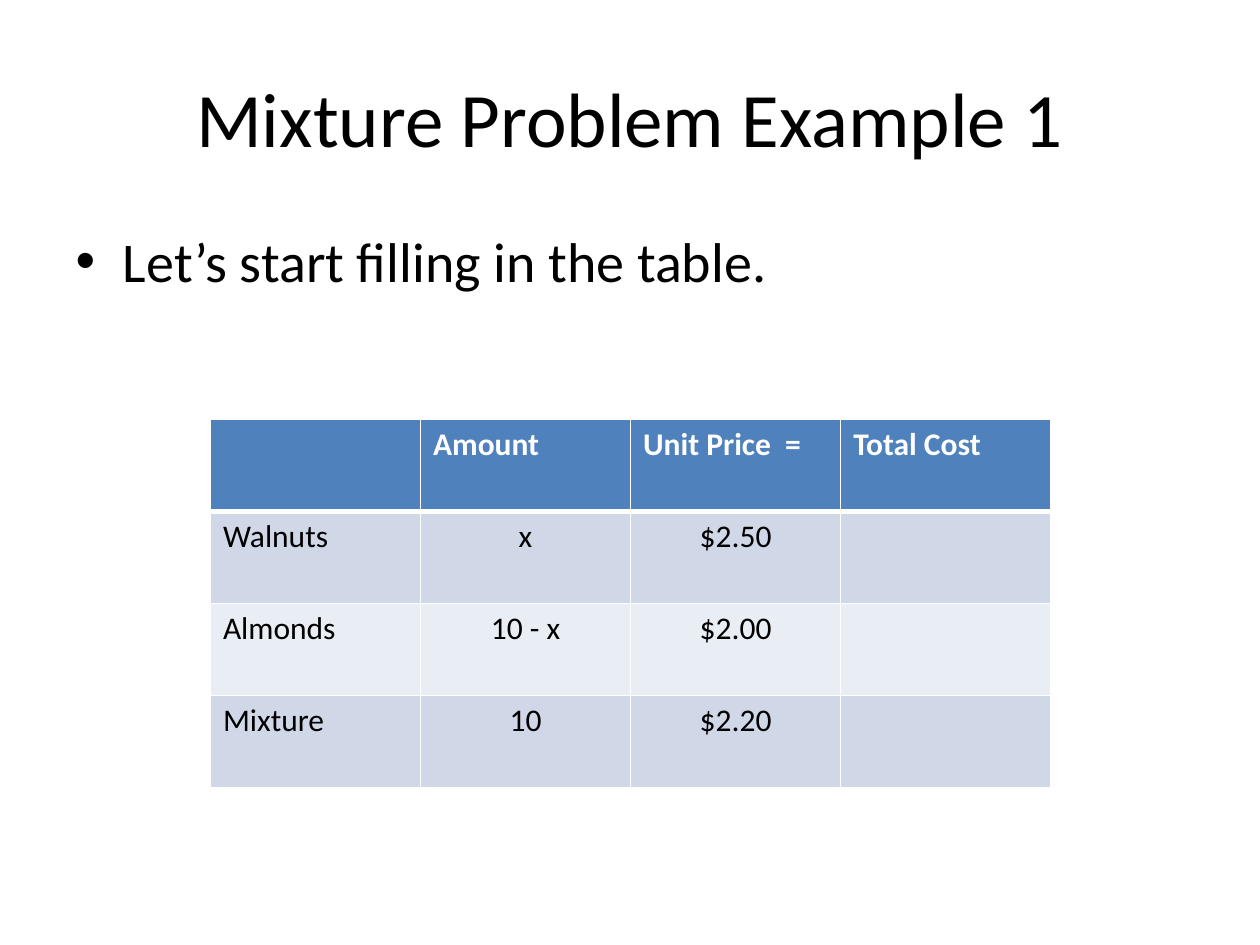
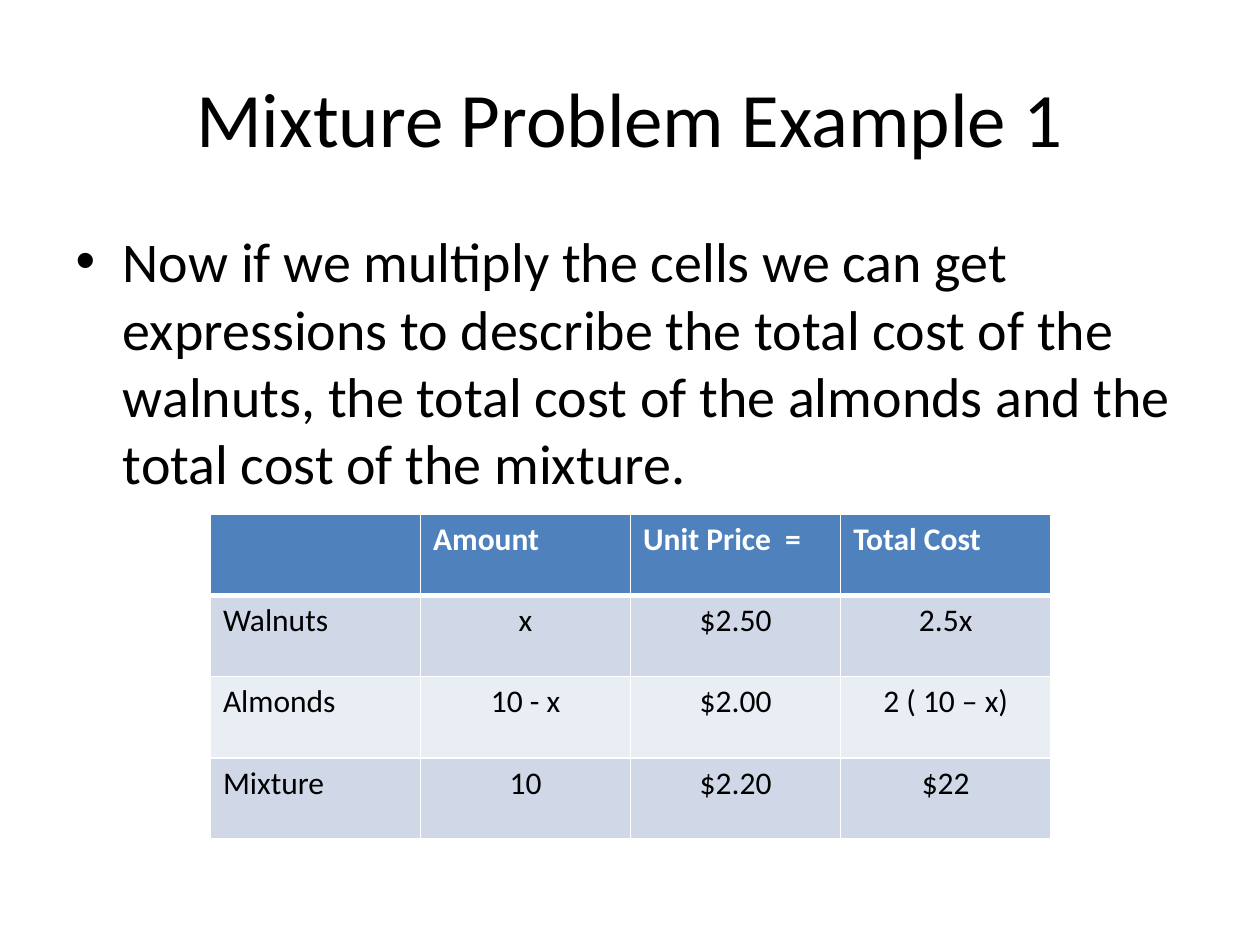
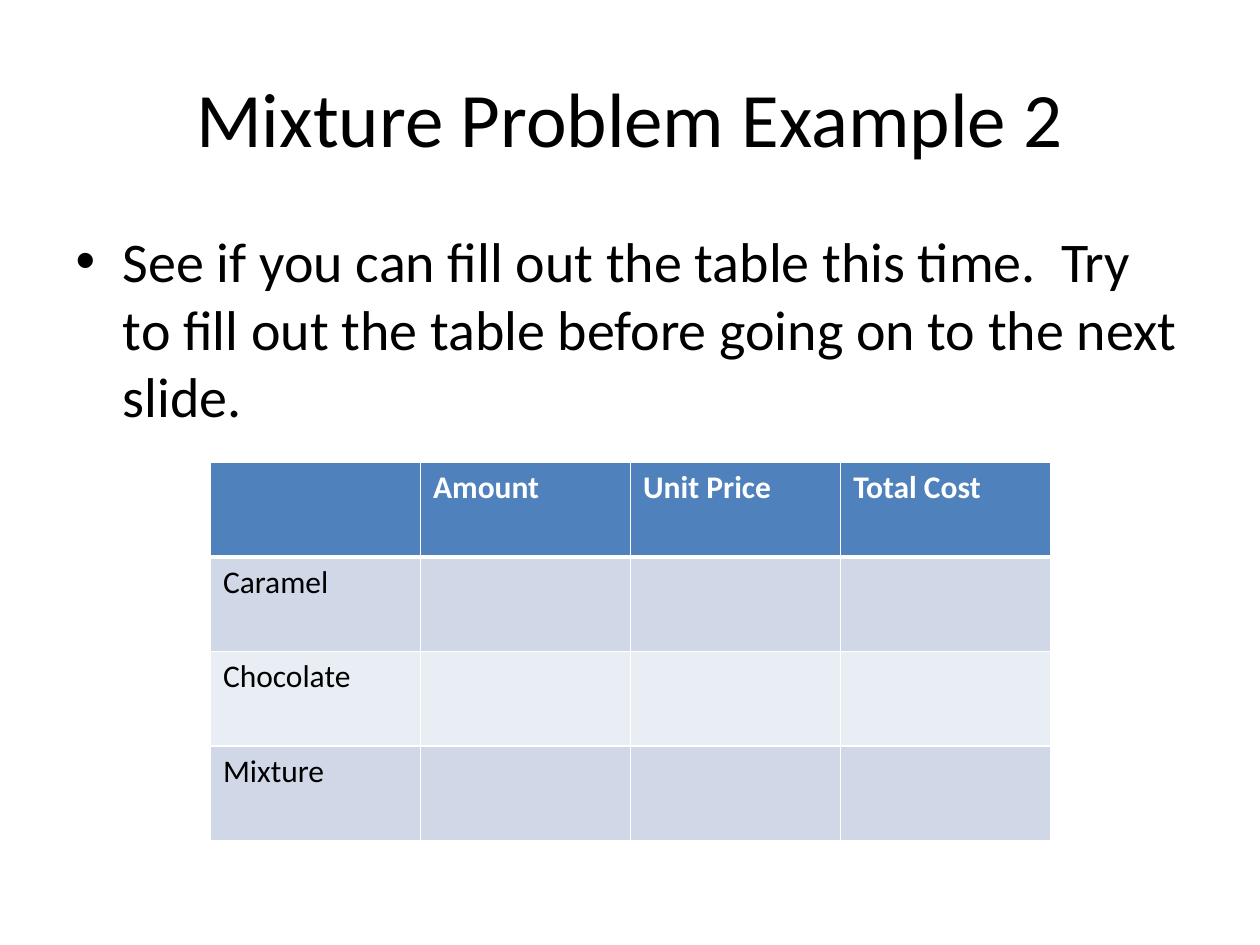
from dataclasses import dataclass

from lxml import etree
from pptx import Presentation
from pptx.dml.color import RGBColor
from pptx.enum import text
from pptx.oxml import ns
from pptx.util import Inches, Pt


@dataclass(frozen=True)
class Theme:
    font: str = "Calibri"
    ink: str = "000000"
    paper: str = "FFFFFF"
    header: str = "4F81BD"
    bands: tuple = ("D0D8E8", "E9EDF4")
    title_size: int = 44
    body_size: int = 32
    table_size: int = 18
    grid_width: int = 1
    header_rule: int = 3


THEME = Theme()

# Boxes: left, top, width, height in inches
TITLE_BOX = (0.5, 0.3, 9, 1.25)
BODY_BOX = (0.5, 1.75, 9, 4.95)
TABLE_LEFT, TABLE_WIDTH = 1.67, 6.67

NUT_HEADER = ["", "Amount", "Unit Price  =", "Total Cost"]
NUT_ROWS = [
    ["Walnuts", "x", "$2.50"],
    ["Almonds", "10 - x", "$2.00"],
    ["Mixture", "10", "$2.20"],
]
NUT_COSTS = ["2.5x", "2 ( 10 – x)", "$22"]

# Title, prompt, table top, table height, table rows
SLIDES = [
    ("Mixture Problem Example 1",
     "Let’s start filling in the table.",
     3.33, 2.92,
     [NUT_HEADER] + [row + [""] for row in NUT_ROWS]),
    ("Mixture Problem Example 1",
     "Now if we multiply the cells we can get expressions to describe "
     "the total cost of the walnuts, the total cost of the almonds and "
     "the total cost of the mixture.",
     4.08, 2.58,
     [NUT_HEADER] + [row + [cost] for row, cost in zip(NUT_ROWS, NUT_COSTS)]),
    ("Mixture Problem Example 2",
     "See if you can fill out the table this time.  Try to fill out the "
     "table before going on to the next slide.",
     3.67, 3,
     [["", "Amount", "Unit Price", "Total Cost"]]
     + [[name, "", "", ""] for name in ("Caramel", "Chocolate", "Mixture")]),
]


def style_runs(p, size, color, bold=False):
    for r in p.runs:
        r.font.name = THEME.font
        r.font.size = Pt(size)
        r.font.bold = bold
        r.font.color.rgb = RGBColor.from_string(color)


def fill_placeholder(sp, box, content, size, align, anchor):
    sp.left, sp.top, sp.width, sp.height = map(Inches, box)
    tf = sp.text_frame
    tf.text = content
    tf.vertical_anchor = anchor
    p = tf.paragraphs[0]
    p.alignment = align
    p.space_before = Pt(0)
    style_runs(p, size, THEME.ink)


def set_borders(cell, top, bottom):
    tc_pr = cell._tc.get_or_add_tcPr()
    grid = THEME.grid_width
    for side, width in (("L", grid), ("R", grid), ("T", top), ("B", bottom)):
        line = etree.SubElement(tc_pr, ns.qn(f"a:ln{side}"), w=str(Pt(width)))
        fill = etree.SubElement(line, ns.qn("a:solidFill"))
        etree.SubElement(fill, ns.qn("a:srgbClr"), val=THEME.paper)


def format_cell(cell, content, row, col):
    is_header = row == 0
    # Heavy rule between the header and the first data row
    set_borders(cell,
                THEME.header_rule if row == 1 else THEME.grid_width,
                THEME.header_rule if is_header else THEME.grid_width)
    cell.fill.solid()
    color = THEME.header if is_header else THEME.bands[(row - 1) % 2]
    cell.fill.fore_color.rgb = RGBColor.from_string(color)
    if content:
        cell.text = content
        p = cell.text_frame.paragraphs[0]
        centred = not is_header and col > 0
        p.alignment = text.PP_ALIGN.CENTER if centred else text.PP_ALIGN.LEFT
        style_runs(p, THEME.table_size,
                   THEME.paper if is_header else THEME.ink, is_header)


def add_mixture_table(slide, box, rows):
    left, top, width, height = map(Inches, box)
    table = slide.shapes.add_table(
        len(rows), len(rows[0]), left, top, width, height).table
    for i, values in enumerate(rows):
        for j, value in enumerate(values):
            format_cell(table.cell(i, j), value, i, j)


def add_problem_slide(prs, title, prompt, table_top, table_height, rows):
    slide = prs.slides.add_slide(prs.slide_layouts[1])
    fill_placeholder(slide.shapes.title, TITLE_BOX, title, THEME.title_size,
                     text.PP_ALIGN.CENTER, text.MSO_ANCHOR.MIDDLE)
    fill_placeholder(slide.placeholders[1], BODY_BOX, prompt, THEME.body_size,
                     text.PP_ALIGN.LEFT, text.MSO_ANCHOR.TOP)
    add_mixture_table(
        slide, (TABLE_LEFT, table_top, TABLE_WIDTH, table_height), rows)


def main():
    prs = Presentation()
    prs.slide_width, prs.slide_height = Inches(10), Inches(7.5)
    for content in SLIDES:
        add_problem_slide(prs, *content)
    prs.save("out.pptx")


if __name__ == "__main__":
    main()
